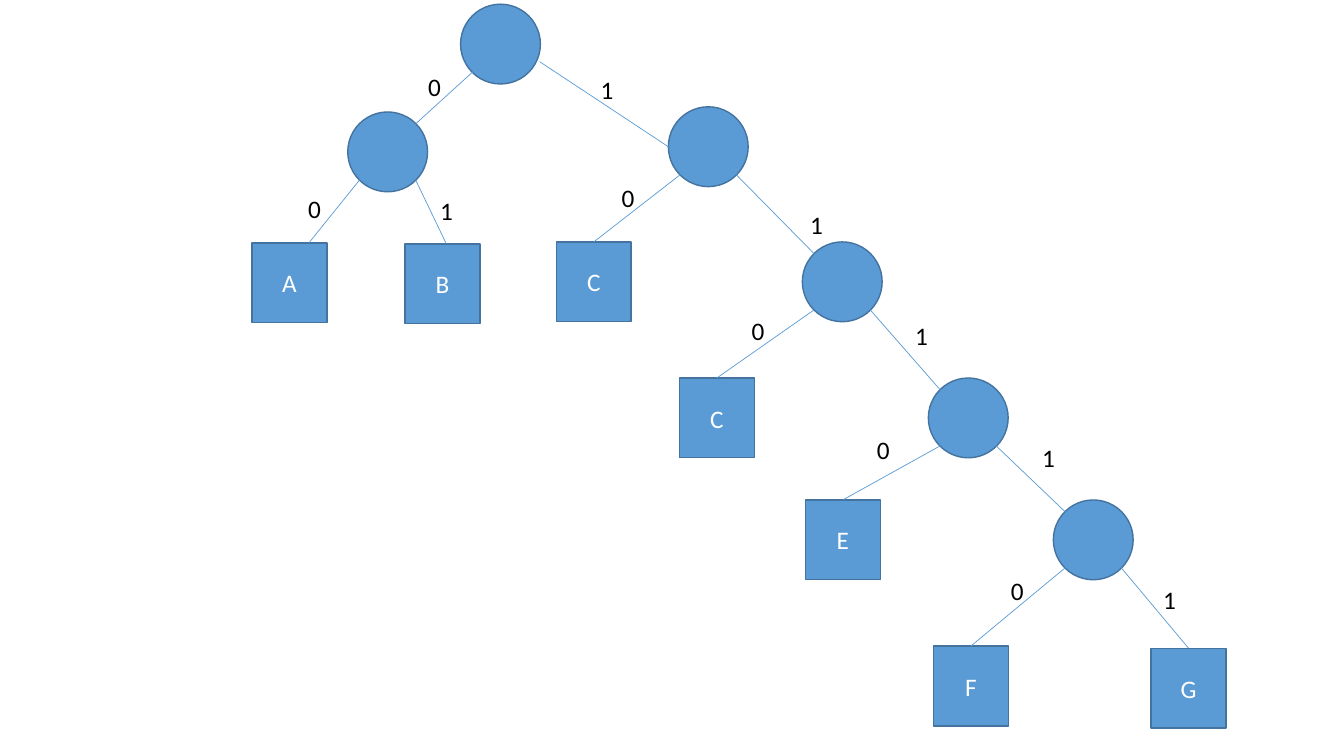
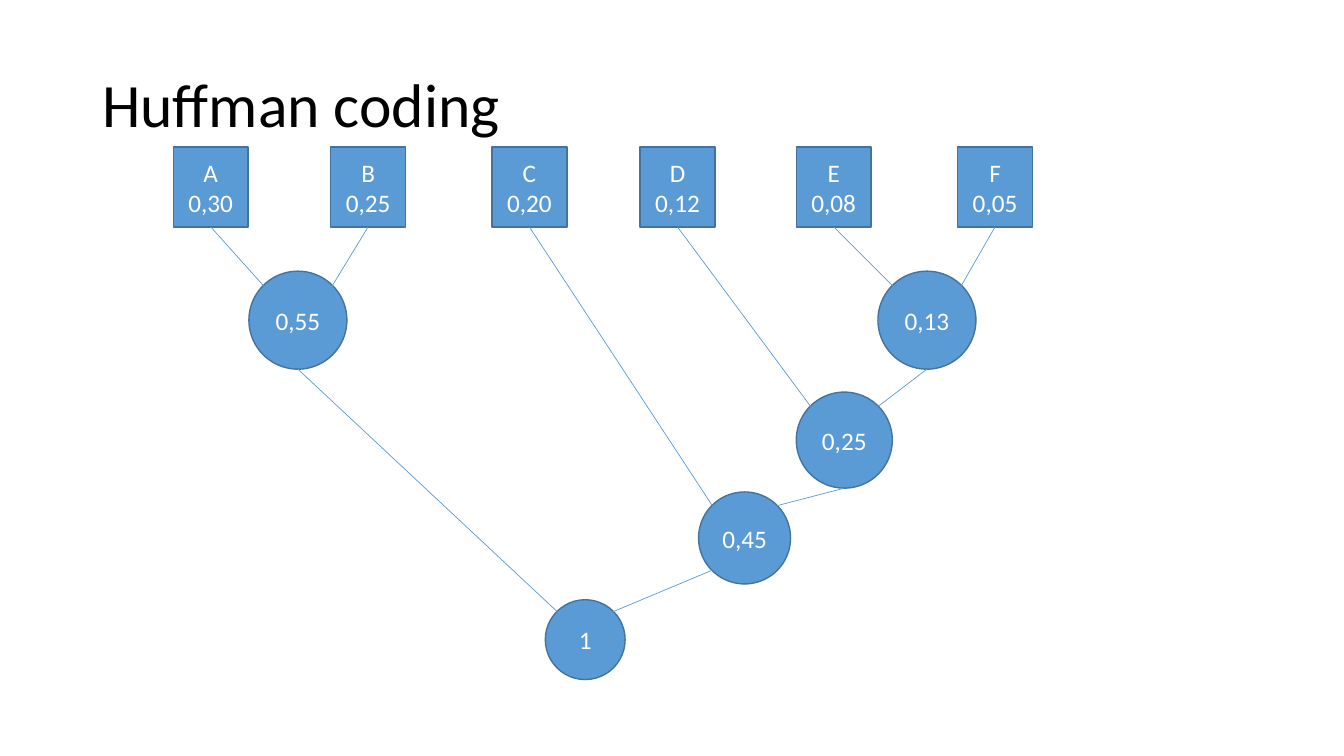
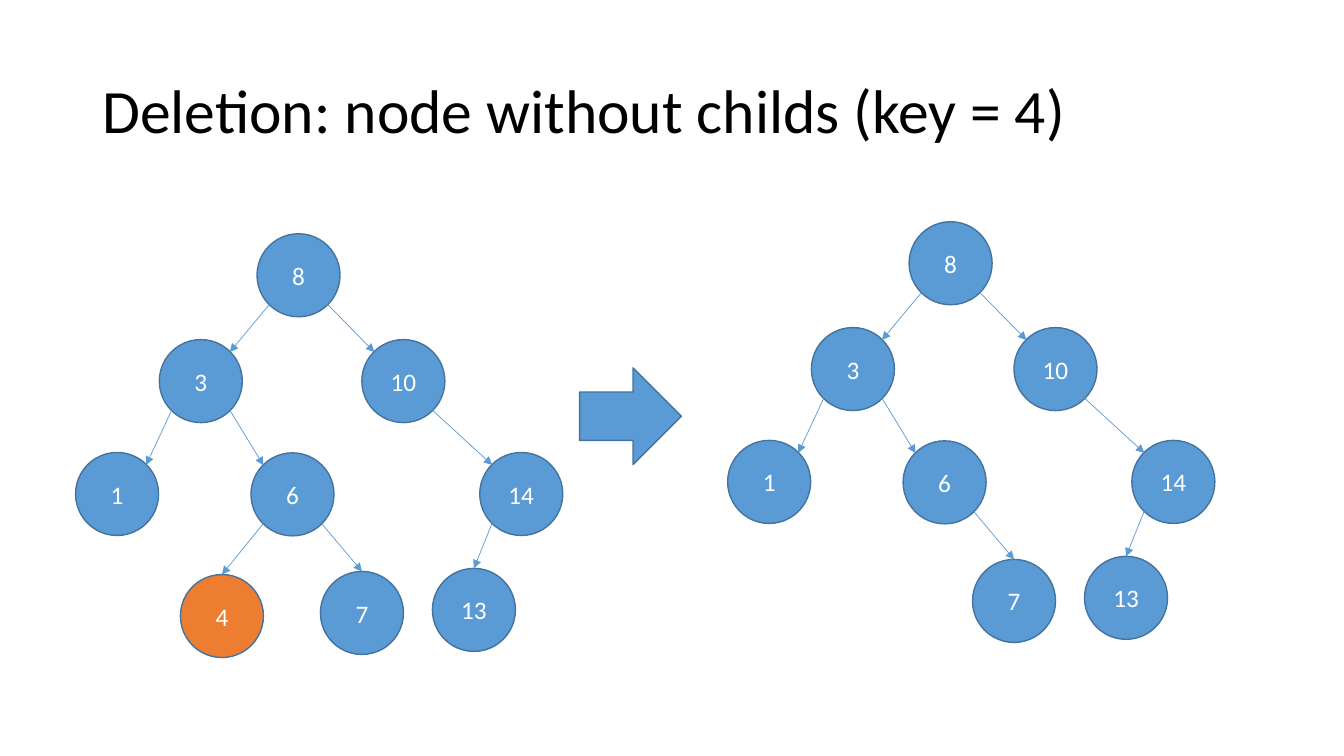
import pptx
import pptx.dml.color
import pptx.enum.shapes
import pptx.enum.text
import pptx.oxml.ns
import pptx.oxml.xmlchemy
import pptx.util

Pt = pptx.util.Pt
RGBColor = pptx.dml.color.RGBColor
SHAPE = pptx.enum.shapes.MSO_SHAPE
ANCHOR = pptx.enum.text.MSO_ANCHOR
ALIGN = pptx.enum.text.PP_ALIGN

BLUE = RGBColor(0x5B, 0x9B, 0xD5)
OUTLINE = RGBColor(0x43, 0x73, 0x9E)
ORANGE = RGBColor(0xED, 0x7D, 0x31)
WHITE = RGBColor(0xFF, 0xFF, 0xFF)
BLACK = RGBColor(0x00, 0x00, 0x00)
FONT = "Calibri"

NODE = 57
LEAF_WIDTH = 53.5
KEY_NODE = 59.3
SITES = {
    "top": (0.5, 0), "bottom": (0.5, 1), "left": (0, 0.5),
    "upper left": (0.15, 0.15), "upper right": (0.85, 0.15),
    "lower left": (0.15, 0.85), "lower right": (0.85, 0.85),
}

CODE_NODES = {
    "root": (149, 0), "left": (68.4, 77), "right": (297.4, 73.3),
    "third": (393.1, 169.8), "fourth": (483.1, 267), "fifth": (572.4, 354.1),
}
CODE_LEAVES = [
    ("A", 0, 170.5), ("B", 109.4, 171.2), ("C", 217.4, 169.8), ("C", 305.3, 267),
    ("E", 395.3, 354.1), ("F", 486.7, 458.5), ("G", 642.2, 460),
]
CODE_EDGES = [
    ("root", "lower left", "left", "upper right"),
    ("root", (0.99, 0.72), "right", "left"),
    ("left", "lower left", 0, (0.76, 0)),
    ("left", "lower right", 1, (0.55, 0)),
    ("right", "lower left", 2, "top"),
    ("right", "lower right", "third", "upper left"),
    ("third", "lower left", 3, "top"),
    ("third", "lower right", "fourth", "upper left"),
    ("fourth", "lower left", 4, "top"),
    ("fourth", "lower right", "fifth", "upper left"),
    ("fifth", "lower left", 5, "top"),
    ("fifth", "lower right", 6, "top"),
]
CODE_BITS = {
    "0": [(118.8, 44.5), (349.9, 218.8), (257, 123.7), (33.1, 131.6), (535, 404.5), (439.2, 303.7)],
    "1": [(127.4, 133.1), (466.6, 222.4), (391.7, 143.2), (557.3, 309.5), (643.7, 411), (241.9, 46.7)],
}

SYMBOLS = [
    ("A", "0,30", 0), ("B", "0,25", 112.4), ("C", "0,20", 227.6),
    ("D", "0,12", 333.4), ("E", "0,08", 445), ("F", "0,05", 560.2),
]
SUMS = [
    ("0,55", 54, 88.6, 70), ("0,13", 503.3, 88.6, 70), ("0,25", 445, 175, 68.6),
    ("0,45", 375.2, 246.3, 65.7), ("1", 265.7, 323.3, NODE),
]
MERGES = [("0,55", "A", "B"), ("0,13", "E", "F"), ("0,25", "D", "0,13"),
          ("0,45", "C", "0,25"), ("1", "0,55", "0,45")]

KEYS = {
    "8": (129.6, 0), "10": (204.5, 75.6), "3": (59.8, 75.6), "1": (0, 156.2),
    "6": (125.3, 156.5), "4": (74.9, 243.4), "7": (174.9, 241.2),
    "14": (288.7, 156.2), "13": (254.9, 239),
}
CHILDREN = [("8", "3"), ("8", "10"), ("3", "1"), ("3", "6"),
            ("6", "4"), ("6", "7"), ("14", "13"), ("10", "14")]
BOTTOM_ROW = ("4", "7", "13")


def style_text(frame, size, colour, align):
    """Give every paragraph of a frame one font, colour and alignment."""
    for para in frame.paragraphs:
        para.alignment = align
        for span in para.runs:
            span.font.name = FONT
            span.font.size = Pt(size)
            span.font.color.rgb = colour


def add_block(page, preset, left, top, width, height, text="", fill=BLUE):
    """Add an outlined shape with centred white text."""
    block = page.shapes.add_shape(preset, Pt(left), Pt(top), Pt(width), Pt(height))
    block.shadow.inherit = False
    block.fill.solid()
    block.fill.fore_color.rgb = fill
    block.line.color.rgb = OUTLINE
    block.line.width = Pt(1)
    frame = block.text_frame
    frame.margin_left = frame.margin_right = 0
    frame.vertical_anchor = ANCHOR.MIDDLE
    if text:
        frame.text = text
        style_text(frame, 18, WHITE, ALIGN.CENTER)
    return block


def site_point(block, site):
    """Return the point of a block at a named site or a pair of fractions."""
    across, down = SITES.get(site, site)
    return int(block.left + across * block.width), int(block.top + down * block.height)


def add_link(page, source, source_site, target, target_site, arrow=False):
    """Join two blocks by a thin line, with an arrowhead if asked."""
    link = page.shapes.add_connector(
        pptx.enum.shapes.MSO_CONNECTOR.STRAIGHT,
        *site_point(source, source_site), *site_point(target, target_site))
    link.line.color.rgb = BLUE
    link.line.width = Pt(0.5)
    properties = link.element.find(pptx.oxml.ns.qn("p:spPr"))
    if arrow:
        head = pptx.oxml.xmlchemy.OxmlElement("a:tailEnd")
        head.set("type", "triangle")
        properties.find(pptx.oxml.ns.qn("a:ln")).append(head)
    properties.append(pptx.oxml.xmlchemy.OxmlElement("a:effectLst"))


def add_title(page, text, top):
    """Add the slide title."""
    box = page.shapes.add_textbox(Pt(66), Pt(top), Pt(828), Pt(104.4))
    frame = box.text_frame
    frame.word_wrap = True
    frame.vertical_anchor = ANCHOR.MIDDLE
    frame.text = text
    frame.paragraphs[0].line_spacing = 0.9
    style_text(frame, 44, BLACK, ALIGN.LEFT)


def add_bit(page, text, left, top):
    """Add the bit label of one branch."""
    box = page.shapes.add_textbox(Pt(left), Pt(top), Pt(23.8), Pt(29))
    frame = box.text_frame
    frame.word_wrap = False
    frame.auto_size = pptx.enum.text.MSO_AUTO_SIZE.SHAPE_TO_FIT_TEXT
    frame.text = text
    style_text(frame, 18, BLACK, ALIGN.LEFT)


def add_code_tree(page, left, top):
    """Draw the prefix code tree with a bit on each branch."""
    blocks = {name: add_block(page, SHAPE.OVAL, left + x, top + y, NODE, NODE)
              for name, (x, y) in CODE_NODES.items()}
    for index, (letter, x, y) in enumerate(CODE_LEAVES):
        blocks[index] = add_block(page, SHAPE.RECTANGLE, left + x, top + y, LEAF_WIDTH, NODE, letter)
    for parent, parent_site, child, child_site in CODE_EDGES:
        add_link(page, blocks[parent], parent_site, blocks[child], child_site)
    for bit, places in CODE_BITS.items():
        for x, y in places:
            add_bit(page, bit, left + x, top + y)


def add_huffman_tree(page, left, top):
    """Draw the symbols and the sums that merge them."""
    blocks = {}
    for letter, weight, x in SYMBOLS:
        blocks[letter] = add_block(
            page, SHAPE.RECTANGLE, left + x, top, LEAF_WIDTH, NODE, f"{letter}\n{weight}")
    for total, x, y, size in SUMS:
        blocks[total] = add_block(page, SHAPE.OVAL, left + x, top + y, size, size, total)
    for total, first, second in MERGES:
        second_site = "lower left" if second == "0,45" else "bottom"
        add_link(page, blocks[first], "bottom", blocks[total], "upper left")
        add_link(page, blocks[second], second_site, blocks[total], "upper right")


def add_search_tree(page, left, top, marked=None, removed=None):
    """Draw the search tree with one key marked or removed."""
    blocks = {}
    for key, (x, y) in KEYS.items():
        if key != removed:
            fill = ORANGE if key == marked else BLUE
            blocks[key] = add_block(
                page, SHAPE.OVAL, left + x, top + y, KEY_NODE, KEY_NODE, key, fill)
    for parent, child in CHILDREN:
        if child != removed:
            goes_left = KEYS[child][0] < KEYS[parent][0]
            start = "lower left" if goes_left else "lower right"
            end = "upper right" if goes_left else "upper left"
            if child in BOTTOM_ROW:
                end = "top"
            add_link(page, blocks[parent], start, blocks[child], end, arrow=True)


def main():
    """Build the three slides and save the deck."""
    deck = pptx.Presentation()
    deck.slide_width, deck.slide_height = Pt(960), Pt(540)
    code_page, huffman_page, deletion_page = [
        deck.slides.add_slide(deck.slide_layouts[6]) for _ in range(3)]

    add_code_tree(code_page, 180, 3)

    add_title(huffman_page, "Huffman coding", 24.5)
    add_huffman_tree(huffman_page, 123.8, 105.1)

    add_title(deletion_page, "Deletion: node without childs (key = 4)", 28.8)
    add_search_tree(deletion_page, 54, 167, marked="4")
    add_block(deletion_page, SHAPE.RIGHT_ARROW, 414, 262.8, 72.7, 69.1)
    add_search_tree(deletion_page, 519.8, 158.4, removed="4")

    deck.save("out.pptx")


if __name__ == "__main__":
    main()
